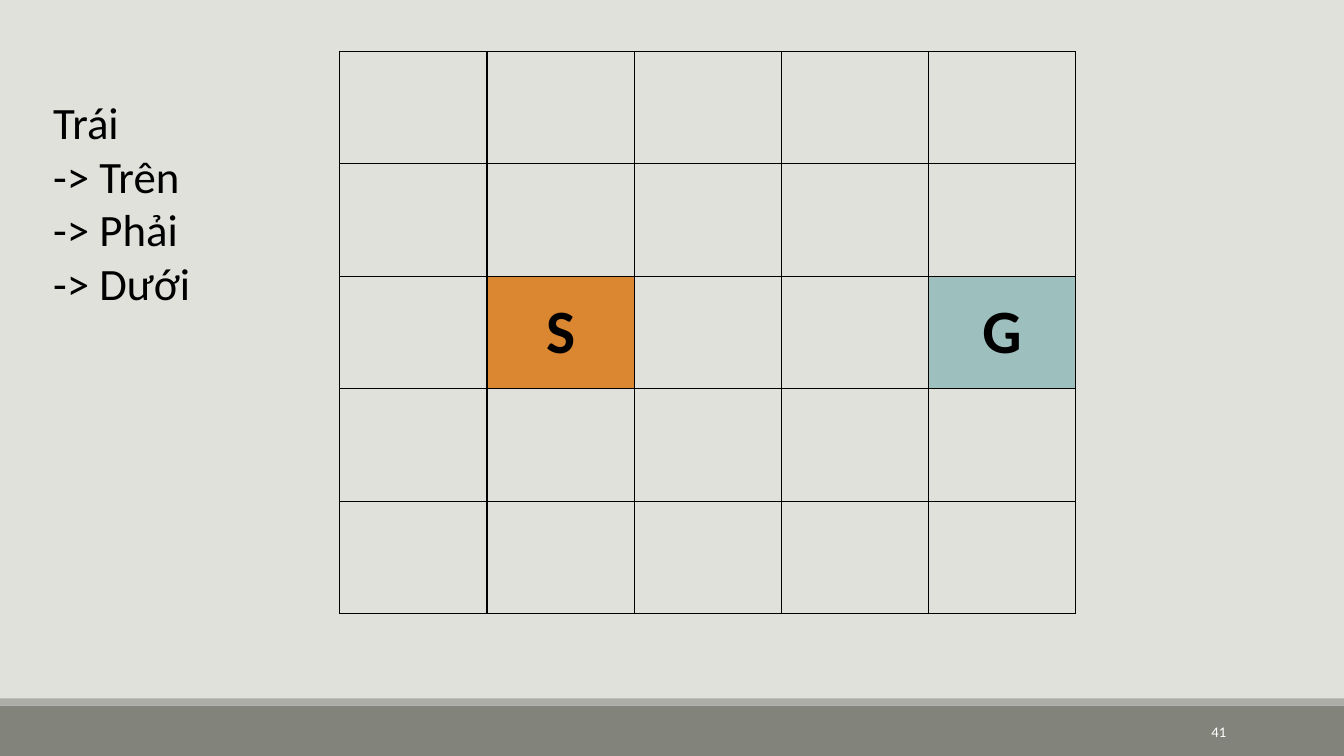
from lxml.etree import SubElement
from pptx import Presentation
from pptx.dml.color import RGBColor
from pptx.enum.shapes import MSO_SHAPE
from pptx.enum.text import MSO_ANCHOR, PP_ALIGN
from pptx.oxml.ns import qn
from pptx.util import Inches, Pt

GRID_SIZE = 5
MARKED_CELLS = {(2, 1): ("S", "DB8631"), (2, 4): ("G", "9DBFBE")}
DIRECTIONS = ["Trái", "-> Trên", "-> Phải", "-> Dưới"]


def paint(fill, color):
    """Give a fill one solid colour."""
    fill.solid()
    fill.fore_color.rgb = RGBColor.from_string(color)


def write(frame, lines, size, color="000000", bold=False, align=PP_ALIGN.LEFT):
    """Write the lines as equally formatted paragraphs."""
    frame.text = "\n".join(lines)
    for paragraph in frame.paragraphs:
        paragraph.alignment = align
        paragraph.font.name = "Calibri"
        paragraph.font.size = Pt(size)
        paragraph.font.bold = bold
        paragraph.font.color.rgb = RGBColor.from_string(color)


def add_text(slide, box, lines, size, **style):
    """Place wrapped text in the box and return its frame."""
    frame = slide.shapes.add_textbox(*map(Inches, box)).text_frame
    frame.word_wrap = True
    write(frame, lines, size, **style)
    return frame


def add_band(slide, box, color):
    """Draw a plain filled band."""
    band = slide.shapes.add_shape(MSO_SHAPE.RECTANGLE, *map(Inches, box))
    band.shadow.inherit = False
    band.line.fill.background()
    paint(band.fill, color)


def add_footer(slide, left, top, width, height):
    """Draw the two footer bands and the slide number."""
    stripe = 0.07
    add_band(slide, (left, top + stripe, width, height - stripe), "82847C")
    add_band(slide, (left, top, width, stripe), "ACADA8")
    number_box = (left + 10.83, top + 0.13, 1.43, 0.4)
    number = add_text(slide, number_box, ["41"], 10.5,
                      color="FFFFFF", align=PP_ALIGN.RIGHT)
    number.vertical_anchor = MSO_ANCHOR.MIDDLE


def outline(cell):
    """Put a thin black border on all four sides of a cell."""
    properties = cell._tc.get_or_add_tcPr()
    for position, side in enumerate(("lnL", "lnR", "lnT", "lnB")):
        border = SubElement(properties, qn(f"a:{side}"), w=str(Pt(1)))
        solid = SubElement(border, qn("a:solidFill"))
        SubElement(solid, qn("a:srgbClr"), val="000000")
        properties.insert(position, border)


def add_search_grid(slide, left, top, width, height):
    """Draw the square-count grid with its start and goal cells."""
    box = map(Inches, (left, top, width, height))
    grid = slide.shapes.add_table(GRID_SIZE, GRID_SIZE, *box).table
    grid.first_row = grid.horz_banding = False
    for row in range(GRID_SIZE):
        for column in range(GRID_SIZE):
            cell = grid.cell(row, column)
            if (row, column) in MARKED_CELLS:
                letter, color = MARKED_CELLS[row, column]
                paint(cell.fill, color)
                cell.vertical_anchor = MSO_ANCHOR.MIDDLE
                write(cell.text_frame, [letter], 44, bold=True,
                      align=PP_ALIGN.CENTER)
            else:
                cell.fill.background()
            outline(cell)


def main():
    """Build and save the slide."""
    presentation = Presentation()
    presentation.slide_width = Inches(13.33)
    presentation.slide_height = Inches(7.5)
    slide = presentation.slides.add_slide(presentation.slide_layouts[6])
    paint(slide.background.fill, "E1E1DB")
    add_footer(slide, 0, 6.93, 13.33, 0.57)
    add_search_grid(slide, 3.37, 0.51, 7.3, 5.58)
    add_text(slide, (0.43, 0.89, 2.36, 2.26), DIRECTIONS, 32)
    presentation.save("out.pptx")


if __name__ == "__main__":
    main()
